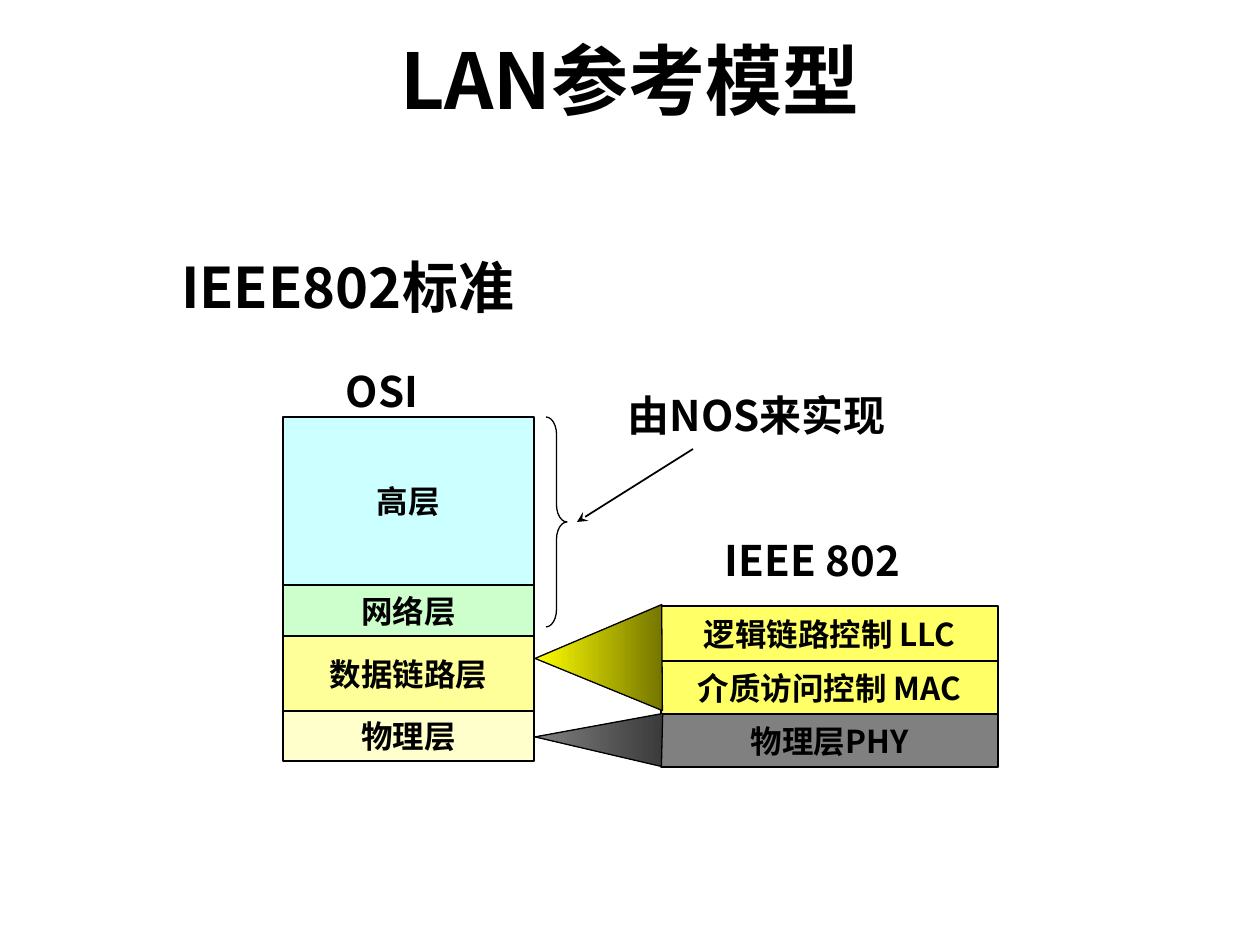
import pptx
import pptx.dml.color
import pptx.enum.dml
import pptx.enum.shapes
import pptx.enum.text
import pptx.oxml
import pptx.oxml.ns
import pptx.util

PX = 914400 / 126
FONT = "Noto Sans CJK SC"
SHAPE = pptx.enum.shapes.MSO_SHAPE
ANCHOR = pptx.enum.text.MSO_ANCHOR
ALIGN = pptx.enum.text.PP_ALIGN

COLORS = {
    "ink": "000000",
    "upper": "CCFFFF",
    "network": "CCFFCC",
    "link": "FFFF99",
    "physical": "FFFFCC",
    "sublayer": "FFFF66",
    "phy": "808080",
    "link_dark": "757500",
    "link_bright": "FFFF00",
    "phy_dark": "3B3B3B",
}


def px(length):
    return pptx.util.Emu(round(length * PX))


def color(key):
    return pptx.dml.color.RGBColor.from_string(COLORS[key])


def apply(target, values):
    for attribute, value in values.items():
        setattr(target, attribute, value)


def write(holder, wording, size, align, anchor, wrap=True, indent=0):
    frame = holder.text_frame
    apply(frame, {
        "word_wrap": wrap,
        "vertical_anchor": anchor,
        "margin_left": px(13 + indent),
        "margin_right": px(13),
        "margin_top": px(6),
        "margin_bottom": px(6),
    })
    paragraph = frame.paragraphs[0]
    paragraph.alignment = align
    run = paragraph.add_run()
    run.text = wording
    apply(run.font, {"name": FONT, "size": pptx.util.Pt(size), "bold": True})
    run.font.color.rgb = color("ink")
    east_asian = pptx.oxml.parse_xml(
        f'<a:ea {pptx.oxml.ns.nsdecls("a")} typeface="{FONT}"/>')
    run.font._element.find(pptx.oxml.ns.qn("a:latin")).addnext(east_asian)


def add_label(slide, box, wording, size, align=ALIGN.LEFT,
              anchor=ANCHOR.TOP, indent=0):
    label = slide.shapes.add_textbox(*map(px, box))
    write(label, wording, size, align, anchor, indent=indent)


def add_outlined(slide, kind, box, weight):
    outlined = slide.shapes.add_shape(kind, *map(px, box))
    outlined.shadow.inherit = False
    outlined.line.color.rgb = color("ink")
    outlined.line.width = pptx.util.Pt(weight)
    return outlined


def add_layer_stack(slide, box, layers):
    left, top, width = box
    for wording, height, fill in layers:
        layer = add_outlined(slide, SHAPE.RECTANGLE, (left, top, width, height), 1)
        layer.fill.solid()
        layer.fill.fore_color.rgb = color(fill)
        write(layer, wording, 18, ALIGN.CENTER, ANCHOR.MIDDLE, wrap=False)
        top += height


def add_osi_model(slide, box):
    left, top, width = box
    add_layer_stack(slide, box, [
        ("高层", 168, "upper"),
        ("网络层", 51, "network"),
        ("数据链路层", 75, "link"),
        ("物理层", 50, "physical"),
    ])
    add_label(slide, (left + 22, top - 57, 179, 63), "OSI", 24, indent=28)


def add_ieee_model(slide, box):
    left, top, width = box
    add_layer_stack(slide, box, [
        ("逻辑链路控制 LLC", 55, "sublayer"),
        ("介质访问控制 MAC", 53, "sublayer"),
        ("物理层PHY", 53, "phy"),
    ])
    add_label(slide, (left + 32, top - 77, 294, 63), "IEEE 802", 24, indent=19)


def add_nos_note(slide, box):
    left, top, width, height = box
    brace = add_outlined(slide, SHAPE.RIGHT_BRACE, (left, top, 21, height), 0.75)
    brace.fill.background()
    brace.adjustments[0] = 0.83
    add_label(slide, (left + 69, top - 33, width - 69, 63), "由NOS来实现", 24)
    arrow = slide.shapes.add_connector(
        pptx.enum.shapes.MSO_CONNECTOR.STRAIGHT,
        px(left + 147), px(top + 32), px(left + 31), px(top + 105))
    arrow.line.color.rgb = color("ink")
    arrow.line.width = pptx.util.Pt(1)
    namespace = pptx.oxml.ns.nsdecls("a")
    arrow.line._get_or_add_ln().append(
        pptx.oxml.parse_xml(f'<a:tailEnd {namespace} type="stealth"/>'))
    arrow._element.spPr.append(
        pptx.oxml.parse_xml(f'<a:effectLst {namespace}/>'))


def add_projection(slide, box, rotation, dark, bright):
    left, top, width, height = box
    turned = (left + (width - height) / 2, top + (height - width) / 2, height, width)
    wedge = add_outlined(slide, SHAPE.FLOWCHART_MERGE, turned, 0.75)
    wedge.rotation = rotation
    wedge.fill.gradient()
    wedge.fill.gradient_angle = 180
    for stop, key in zip(wedge.fill.gradient_stops, (dark, bright)):
        stop.color.rgb = color(key)
    gradient = wedge._element.spPr.find(pptx.oxml.ns.qn("a:gradFill"))
    gradient.set("rotWithShape", "0")


def main():
    deck = pptx.Presentation()
    apply(deck, {"slide_width": px(1260), "slide_height": px(945)})
    slide = deck.slides.add_slide(deck.slide_layouts[6])
    add_osi_model(slide, (283, 417, 251))
    add_ieee_model(slide, (661, 606, 337))
    add_nos_note(slide, (546, 417, 358, 210))
    add_projection(slide, (535, 605, 127, 106), 89.6, "link_dark", "link_bright")
    add_projection(slide, (535, 712, 127, 53), 91.4, "phy_dark", "phy")
    add_label(slide, (168, 246, 525, 79), "IEEE802标准", 32)
    add_label(slide, (0, 0, 1260, 158), "LAN参考模型", 44, ALIGN.CENTER, ANCHOR.MIDDLE)
    deck.save("out.pptx")


if __name__ == "__main__":
    main()
